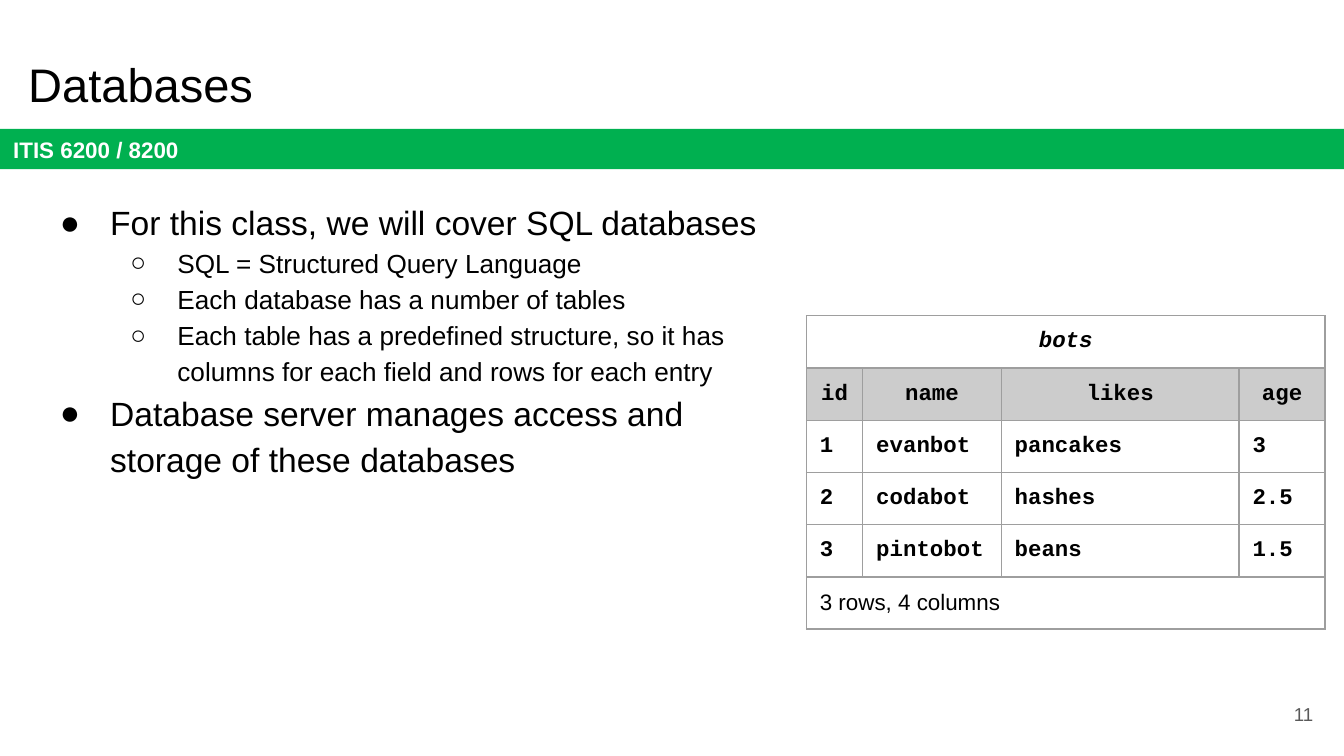
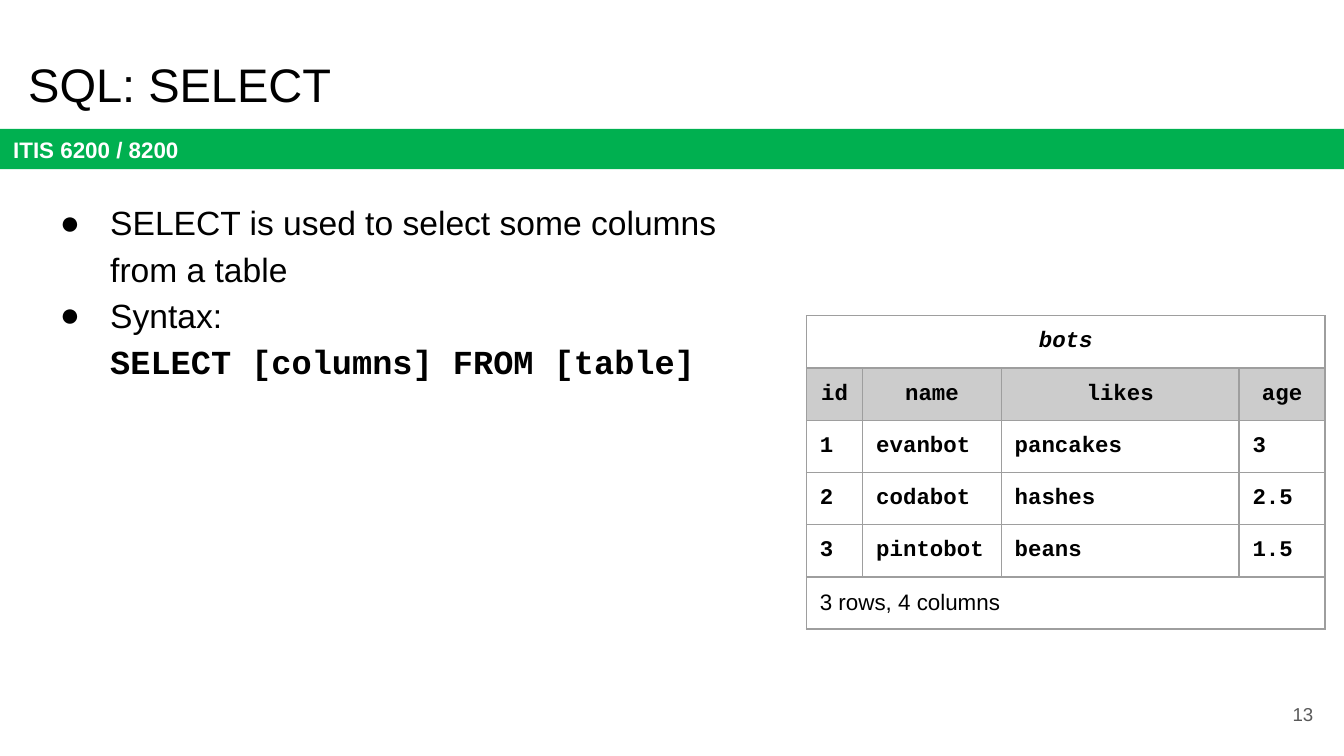
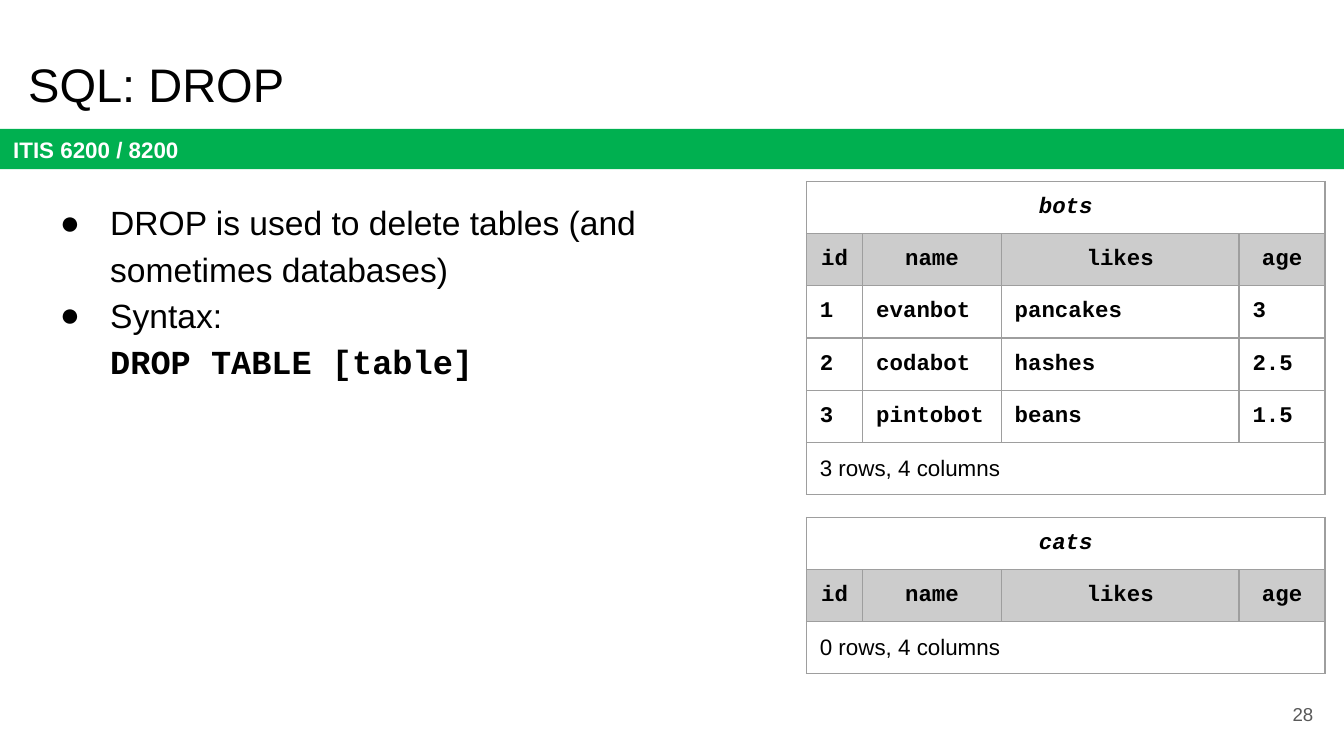
"""Build three slides on SQL databases."""
import copy
import dataclasses

import lxml.etree
import pptx
import pptx.dml.color
import pptx.enum.shapes
import pptx.enum.text
import pptx.oxml.ns
import pptx.util

Pt = pptx.util.Pt
qn = pptx.oxml.ns.qn
ALIGN = pptx.enum.text.PP_ALIGN
ANCHOR = pptx.enum.text.MSO_ANCHOR


@dataclasses.dataclass(frozen=True)
class Theme:
    """Hold the colours, fonts and type sizes."""
    sans: str = "Arial"
    mono: str = "Courier New"
    black: str = "000000"
    white: str = "FFFFFF"
    green: str = "00B050"
    grey: str = "595959"
    head: str = "CCCCCC"
    rule: str = "9E9E9E"
    title: float = 25.2
    lists: tuple = (18, 14)
    small: float = 12
    page: float = 10


THEME = Theme()
INSET = 7.2
BULLETS = (("●", 36, -27), ("○", 72, -25.2))
WIDTHS = (30.24, 74.16, 127.44, 46.08)
ROW = 27.8
TABLE_X = 432
FIELDS = ("id", "name", "likes", "age")
BOTS = (
    ("1", "evanbot", "pancakes", "3"),
    ("2", "codabot", "hashes", "2.5"),
    ("3", "pintobot", "beans", "1.5"),
)
SLIDES = (
    {
        "title": "Databases", "page": "11", "tables": (("bots", BOTS, 169.2),),
        "points": (
            (0, "For this class, we will cover SQL databases", ""),
            (1, "SQL = Structured Query Language", ""),
            (1, "Each database has a number of tables", ""),
            (1, "Each table has a predefined structure, so it has columns"
                " for each field and rows for each entry", ""),
            (0, "Database server manages access and storage of these databases", ""),
        ),
    },
    {
        "title": "SQL: SELECT", "page": "13", "tables": (("bots", BOTS, 169.2),),
        "points": (
            (0, "SELECT is used to select some columns from a table", ""),
            (0, "Syntax:", "SELECT [columns] FROM [table]"),
        ),
    },
    {
        "title": "SQL: DROP", "page": "28",
        "tables": (("bots", BOTS, 97.2), ("cats", (), 277.2)),
        "points": (
            (0, "DROP is used to delete tables (and sometimes databases)", ""),
            (0, "Syntax:", "DROP TABLE [table]"),
        ),
    },
)


def rgb(code):
    """Turn a hex code into a colour."""
    return pptx.dml.color.RGBColor.from_string(code)


def apply(target, values):
    """Set each attribute named in a dict of format values."""
    for name, value in values.items():
        setattr(target, name, value)


def write(para, text, size, color=THEME.black, face=THEME.sans, **style):
    """Add a formatted run to a paragraph."""
    run = para.add_run()
    run.text = text
    apply(run.font, {"size": Pt(size), "name": face, **style})
    run.font.color.rgb = rgb(color)
    return run


def place(shape, left, top, width, height):
    """Move and size a shape in points."""
    apply(shape, {"left": Pt(left), "top": Pt(top),
                  "width": Pt(width), "height": Pt(height)})


def frame(shape, anchor):
    """Prepare a text frame and return its first paragraph."""
    sides = ("left", "top", "right", "bottom")
    apply(shape.text_frame, {
        "word_wrap": True, "auto_size": pptx.enum.text.MSO_AUTO_SIZE.NONE,
        "vertical_anchor": anchor, **{f"margin_{s}": Pt(INSET) for s in sides}})
    return shape.text_frame.paragraphs[0]


def add_band(slide):
    """Draw the course band and hand it to the shared layout."""
    band = slide.shapes.add_shape(pptx.enum.shapes.MSO_SHAPE.RECTANGLE,
                                  Pt(0), Pt(69.12), Pt(720), Pt(21.6))
    band.shadow.inherit = False
    band.fill.solid()
    band.fill.fore_color.rgb = rgb(THEME.green)
    band.line.fill.background()
    para = frame(band, ANCHOR.MIDDLE)
    para.alignment = ALIGN.LEFT
    write(para, "ITIS 6200 / 8200", THEME.small, THEME.white, bold=True)
    slide.slide_layout.shapes._spTree.append(band._element)


def add_title(slide, text):
    """Fill the title placeholder."""
    title = slide.shapes.title
    place(title, 7.92, 21.6, 671.04, 45.36)
    para = frame(title, ANCHOR.BOTTOM)
    para.alignment = ALIGN.LEFT
    write(para, text, THEME.title)


def add_mark(para, level):
    """Give a paragraph its bullet and hanging indent."""
    char, left, hang = BULLETS[level]
    props = para._p.get_or_add_pPr()
    props.set("marL", str(Pt(left)))
    props.set("indent", str(Pt(hang)))
    tint = lxml.etree.SubElement(props, qn("a:buClr"))
    lxml.etree.SubElement(tint, qn("a:srgbClr"), val=THEME.black)
    lxml.etree.SubElement(props, qn("a:buFont"), typeface=THEME.sans)
    lxml.etree.SubElement(props, qn("a:buChar"), char=char)


def add_list(slide, points):
    """Fill the body placeholder with bullets and code."""
    body = slide.placeholders[1]
    place(body, 15.84, 97.92, 404.64, 296.64)
    para = frame(body, ANCHOR.TOP)
    for index, (level, text, code) in enumerate(points):
        if index:
            para = body.text_frame.add_paragraph()
        add_mark(para, level)
        apply(para, {"level": level, "line_spacing": 1.15,
                     "space_before": Pt(0), "space_after": Pt(0)})
        size = THEME.lists[level]
        run = write(para, text, size)
        if code:
            para.add_line_break()
            para._p[-1].append(copy.deepcopy(run._r.rPr))
            write(para, code, size, face=THEME.mono, bold=True)


def add_page(slide, number):
    """Write the page number."""
    box = slide.shapes.add_textbox(Pt(667.44), Pt(367.2), Pt(43.2), Pt(30.96))
    para = frame(box, ANCHOR.MIDDLE)
    para.alignment = ALIGN.RIGHT
    write(para, number, THEME.page, THEME.grey)


def add_edge(cell):
    """Rule all four sides of a cell."""
    props = cell._tc.get_or_add_tcPr()
    for side in "LRTB":
        line = lxml.etree.SubElement(props, qn(f"a:ln{side}"), w=str(Pt(0.75)))
        fill = lxml.etree.SubElement(line, qn("a:solidFill"))
        lxml.etree.SubElement(fill, qn("a:srgbClr"), val=THEME.rule)


def fill_cell(cell, text, align, shade, style):
    """Format one cell and write its text."""
    apply(cell, {f"margin_{s}": Pt(INSET) for s in ("left", "top", "right", "bottom")})
    add_edge(cell)
    if shade:
        cell.fill.solid()
        cell.fill.fore_color.rgb = rgb(THEME.head)
    else:
        cell.fill.background()
    para = cell.text_frame.paragraphs[0]
    para.alignment = align
    if text:
        write(para, text, THEME.small, **style)


def add_table(slide, name, records, top):
    """Draw a database table with its name, fields, records and count."""
    span = ("",) * (len(FIELDS) - 1)
    count = f"{len(records)} rows, {len(FIELDS)} columns"
    rows = ((name, *span), FIELDS, *records, (count, *span))
    last = len(rows) - 1
    table = slide.shapes.add_table(len(rows), len(FIELDS), Pt(TABLE_X), Pt(top),
                                   Pt(sum(WIDTHS)), Pt(ROW * len(rows))).table
    apply(table, {"first_row": False, "horz_banding": False})
    for column, width in zip(table.columns, WIDTHS):
        column.width = Pt(width)
    for r, row in enumerate(rows):
        table.rows[r].height = Pt(ROW)
        style = {"face": THEME.mono, "bold": True, "italic": r == 0}
        if r == last:
            style = {"bold": False}
        align = ALIGN.CENTER if r < 2 else ALIGN.LEFT
        for c, text in enumerate(row):
            fill_cell(table.cell(r, c), text, align, r == 1, style)
    for r in (0, last):
        table.cell(r, 0).merge(table.cell(r, len(FIELDS) - 1))


def main():
    """Build and save the deck."""
    deck = pptx.Presentation()
    apply(deck, {"slide_width": Pt(720), "slide_height": Pt(405)})
    layout = deck.slide_layouts[1]
    for index, page in enumerate(SLIDES):
        slide = deck.slides.add_slide(layout)
        if index == 0:
            add_band(slide)
        add_title(slide, page["title"])
        add_list(slide, page["points"])
        add_page(slide, page["page"])
        for name, records, top in page["tables"]:
            add_table(slide, name, records, top)
    deck.save("out.pptx")


if __name__ == "__main__":
    main()
